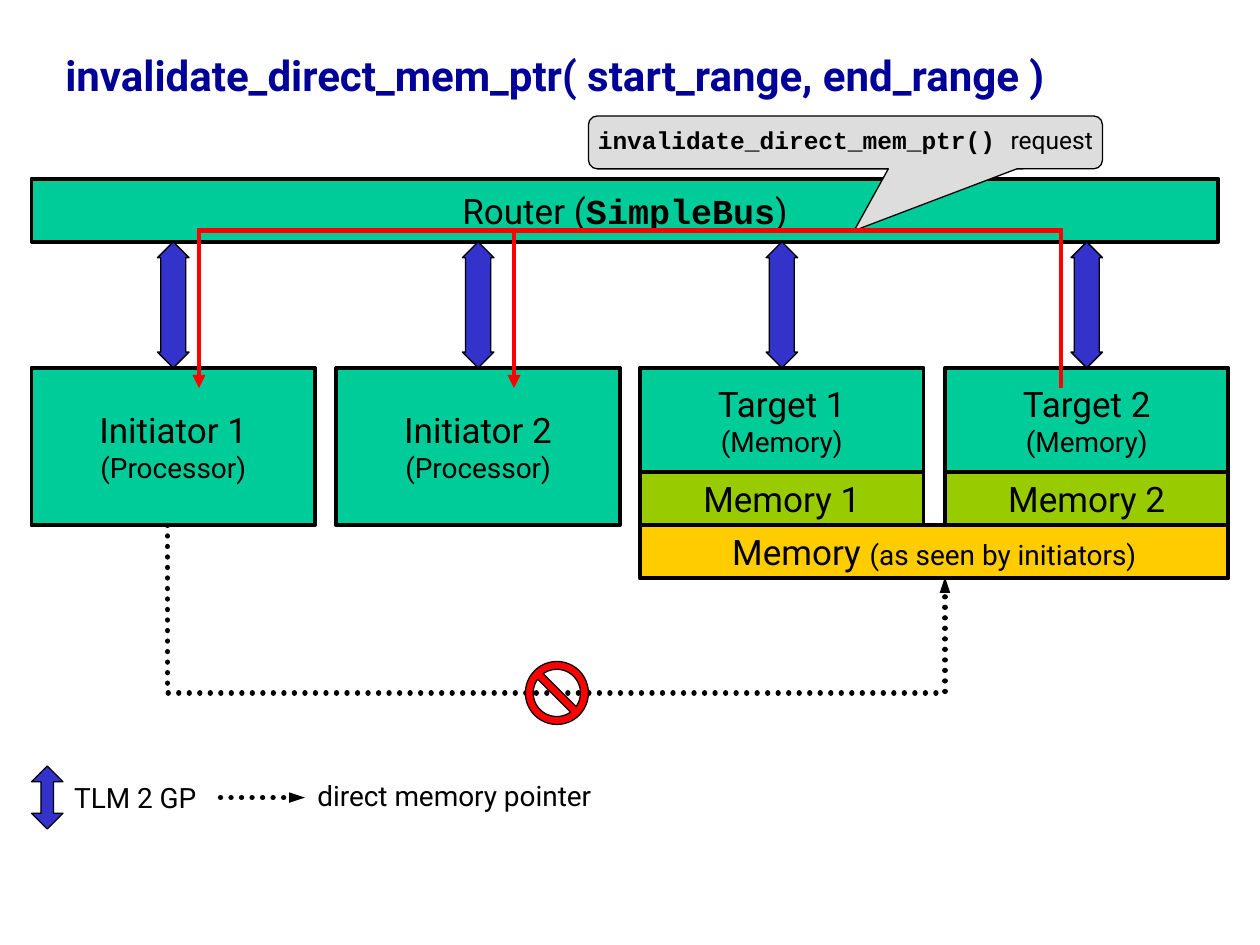
from pptx import Presentation
from pptx.dml.color import RGBColor
from pptx.enum.dml import MSO_LINE
from pptx.enum.shapes import MSO_CONNECTOR, MSO_SHAPE
from pptx.enum.text import MSO_ANCHOR, PP_ALIGN
from pptx.oxml.ns import qn
from pptx.util import Inches, Pt
from lxml.etree import SubElement

BLACK, RED, GREEN, BLUE = "000000", "FF0000", "00CC99", "3333CC"
SANS, MONO = "Roboto", "Courier New"


def color(hex_value):
    return RGBColor.from_string(hex_value)


def inches(*values):
    return [Inches(value) for value in values]


class Diagram:
    def __init__(self, slide):
        self.slide = slide

    def set_font(self, font, size, name=SANS, bold=False, hex_value=BLACK):
        font.size, font.name, font.bold = Pt(size), name, bold
        font.color.rgb = color(hex_value)

    def add_lines(self, frame, lines, align=PP_ALIGN.CENTER, anchor=MSO_ANCHOR.MIDDLE):
        """Fill a frame; each line is a list of (text, size, font name, bold)."""
        frame.word_wrap = False
        frame.vertical_anchor = anchor
        for index, spans in enumerate(lines):
            para = frame.add_paragraph() if index else frame.paragraphs[0]
            para.alignment = align
            if len(spans) == 1:
                para.text = spans[0][0]
                self.set_font(para.font, *spans[0][1:])
                continue
            for text, *style in spans:
                span = para.add_run()
                span.text = text
                self.set_font(span.font, *style)

    def shape(self, kind, left, top, width, height, fill, line=0.75, adjust=()):
        shape = self.slide.shapes.add_shape(kind, *inches(left, top, width, height))
        shape.shadow.inherit = False
        shape.fill.solid()
        shape.fill.fore_color.rgb = color(fill)
        shape.line.color.rgb = color(BLACK)
        shape.line.width = Pt(line)
        for index, value in enumerate(adjust):
            shape.adjustments[index] = value
        return shape

    def block(self, left, top, width, height, fill, *lines):
        box = self.shape(MSO_SHAPE.RECTANGLE, left, top, width, height, fill, 2.25)
        self.add_lines(box.text_frame, lines)

    def bus_arrow(self, left, top, height, head):
        self.shape(MSO_SHAPE.UP_DOWN_ARROW, left, top, 0.25, height, BLUE,
                   adjust=(0.5, head))

    def label(self, left, top, width, height, text, size, **style):
        box = self.slide.shapes.add_textbox(*inches(left, top, width, height))
        self.add_lines(box.text_frame, [[(text, size)]], PP_ALIGN.LEFT)
        self.set_font(box.text_frame.paragraphs[0].font, size, **style)
        return box

    def stroke(self, line, hex_value, width, end, dotted=False):
        """Style a line and put an arrowhead on its headEnd or tailEnd."""
        line.color.rgb = color(hex_value)
        line.width = Pt(width)
        if dotted:
            line.dash_style = MSO_LINE.ROUND_DOT
        properties = line._get_or_add_ln()
        if dotted:
            properties.set("cap", "rnd")
        SubElement(properties, qn("a:miter"), lim="800000")
        SubElement(properties, qn(end), type="triangle",
                   w="sm" if dotted else "med", len="med")

    def route(self, points, *style, **options):
        start, *rest = [inches(*point) for point in points]
        builder = self.slide.shapes.build_freeform(*start, scale=1.0)
        builder.add_line_segments(rest, close=False)
        outline = builder.convert_to_shape()
        outline.shadow.inherit = False
        outline.fill.background()
        self.stroke(outline.line, *style, **options)

    def arrow(self, start, end, *style, **options):
        connector = self.slide.shapes.add_connector(
            MSO_CONNECTOR.STRAIGHT, *inches(*start, *end))
        self.stroke(connector.line, *style, **options)
        SubElement(connector._element.spPr, qn("a:effectLst"))


def main():
    deck = Presentation()
    deck.slide_width, deck.slide_height = inches(10, 7.5)
    diagram = Diagram(deck.slides.add_slide(deck.slide_layouts[6]))

    title = diagram.label(0.42, 0, 9.5, 1.25,
                          "invalidate_direct_mem_ptr( start_range, end_range )",
                          24, bold=True, hex_value="000099")
    title.text_frame.word_wrap = True
    title.text_frame.paragraphs[0].line_spacing = 0.85

    diagram.block(0.25, 1.42, 9.42, 0.5, GREEN,
                  [("Router (", 20), ("SimpleBus", 20, MONO, True), (")", 20)])

    columns = [0.25, 2.67, 5.08, 7.5]
    for arrow_left in (1.25, 3.67, 6.08, 8.5):
        diagram.bus_arrow(arrow_left, 1.92, 1, 0.796)
    for number in (1, 2):
        diagram.block(columns[number - 1], 2.92, 2.25, 1.25, GREEN,
                      [(f"Initiator {number}", 20)], [("(Processor)", 16)])
        left = columns[number + 1]
        diagram.block(left, 2.92, 2.25, 0.83, GREEN,
                      [(f"Target {number}", 20)], [("(Memory)", 16)])
        diagram.block(left, 3.75, 2.25, 0.42, "99CC00", [(f"Memory {number}", 20)])
    diagram.block(5.08, 4.17, 4.67, 0.42, "FFCC00",
                  [("Memory ", 20), ("(as seen by initiators)", 16)])

    pointer = (BLACK, 3, "a:tailEnd")
    diagram.route([(1.33, 4.17), (1.33, 5.5), (7.5, 5.5), (7.5, 4.58)],
                  *pointer, dotted=True)

    diagram.bus_arrow(0.25, 6.08, 0.5, 0.398)
    diagram.label(0.49, 6.14, 1.18, 0.37, "TLM 2 GP", 16)
    diagram.arrow((1.75, 6.33), (2.42, 6.33), *pointer, dotted=True)
    diagram.label(2.42, 6.13, 2.55, 0.37, "direct memory pointer", 16)

    callout = diagram.shape(MSO_SHAPE.ROUNDED_RECTANGULAR_CALLOUT, 4.67, 0.92, 4.08, 0.42,
                            "DDDDDD", adjust=(0.017, 1.667, 0.167))
    diagram.add_lines(callout.text_frame,
                      [[("invalidate_direct_mem_ptr() ", 14, MONO, True), ("request", 14)]],
                      anchor=MSO_ANCHOR.TOP)

    for left in (1.58, 4.08):
        diagram.route([(left, 3.08), (left, 1.83), (8.42, 1.83), (8.42, 3.08)],
                      RED, 2.5, "a:headEnd")
    diagram.shape(MSO_SHAPE.NO_SYMBOL, 4.17, 5.25, 0.5, 0.5, RED, adjust=(0.125,))

    deck.save("out.pptx")


if __name__ == "__main__":
    main()
